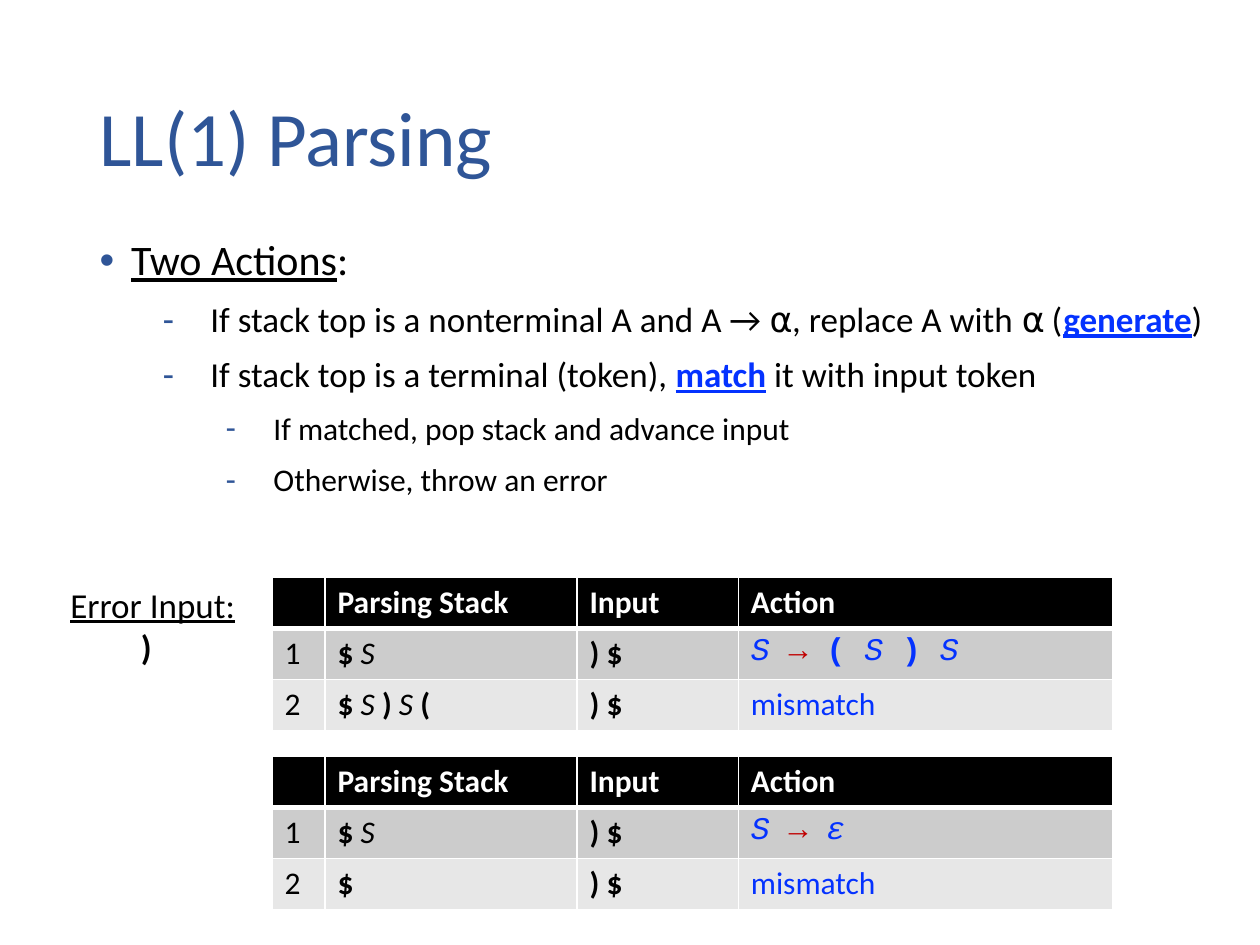
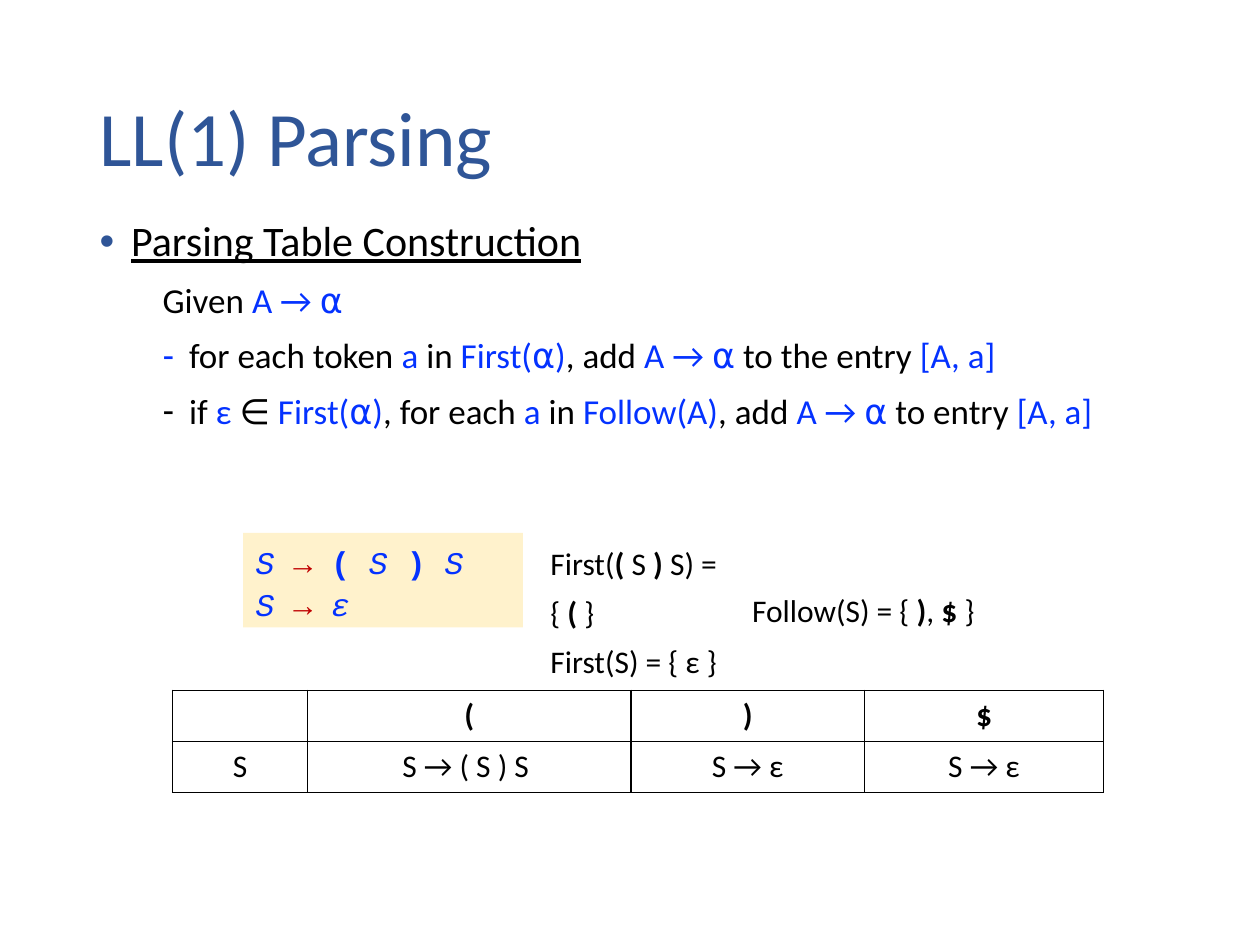
import lxml.etree
import pptx
import pptx.dml.color
import pptx.enum.shapes
import pptx.enum.text
import pptx.oxml.ns
import pptx.util

Inches = pptx.util.Inches
Pt = pptx.util.Pt
ALIGN = pptx.enum.text.PP_ALIGN
ANCHOR = pptx.enum.text.MSO_ANCHOR

COLORS = {
    "title": "2F5597", "text": "000000", "blue": "0432FF", "red": "C00000",
    "white": "FFFFFF", "dark": "CCCCCC", "light": "E7E7E7", "cream": "FFF2CC",
}
CODE = "Courier New"
STYLES = {
    "plain": {},
    "under": {"underline": True},
    "bold": {"bold": True},
    "slant": {"italic": True},
    "blue": {"color": "blue"},
    "key": {"color": "blue", "bold": True, "underline": True},
    "head": {"color": "white", "bold": True},
    "var": {"name": CODE, "color": "blue", "italic": True},
    "arrow": {"name": CODE, "color": "red"},
    "mark": {"name": CODE, "color": "blue", "bold": True},
}
TITLE = (0.69, 0.4, 8.62, 1.45)

# A line of text is a list of (text, style) runs.
RULE_PAIR = [("S ", "var"), ("→ ", "arrow"), ("( ", "mark"), ("S ", "var"),
             (") ", "mark"), ("S", "var")]
RULE_NULL = [("S ", "var"), ("→ ", "arrow"), ("ε", "var")]
ARROW = ("A → ⍺", "blue")
ENTRY = ("[A, a]", "blue")
TOKEN = ("a", "blue")
FIRST = ("First(⍺)", "blue")


def plain(text, style="plain"):
    return [(text, style)]


def shade(name):
    return pptx.dml.color.RGBColor.from_string(COLORS[name])


def place(shape, box):
    for name, value in zip(("left", "top", "width", "height"), box):
        setattr(shape, name, Inches(value))


def node(base, tag, **values):
    child = lxml.etree.SubElement(base, pptx.oxml.ns.qn(tag))
    for name, value in values.items():
        child.set(name, str(value))
    return child


def write(para, runs, size, format=None, color="text"):
    for name, value in (format or {}).items():
        setattr(para, name, value)
    for text, style in runs:
        run = para.add_run()
        run.text = text
        font = {"name": "Calibri", "size": Pt(size), "color": color, **STYLES[style]}
        run.font.color.rgb = shade(font.pop("color"))
        for name, value in font.items():
            setattr(run.font, name, value)


def indent(para, left, hang=0.0):
    props = para._p.get_or_add_pPr()
    props.set("marL", str(Inches(left)))
    props.set("indent", str(Inches(hang)))
    return props


def lines(frame, count):
    """Return the given number of paragraphs, the first being the one there."""
    return [frame.paragraphs[0]] + [frame.add_paragraph() for _ in range(count - 1)]


def add_title(slide, text):
    title = slide.shapes.title
    place(title, TITLE)
    frame = title.text_frame
    frame.auto_size = pptx.enum.text.MSO_AUTO_SIZE.NONE
    frame.vertical_anchor = ANCHOR.MIDDLE
    write(frame.paragraphs[0], plain(text), 44,
          {"alignment": ALIGN.LEFT, "line_spacing": 0.9}, "title")


def add_list(slide, box, items):
    """Fill the body; an item is level, left, hang, bullet, bullet colour, runs."""
    body = slide.placeholders[1]
    place(body, box)
    frame = body.text_frame
    frame.auto_size = pptx.enum.text.MSO_AUTO_SIZE.NONE
    for row, (para, item) in enumerate(zip(lines(frame, len(items)), items)):
        level, left, hang, bullet, color, runs = item
        props = indent(para, left, hang)
        if bullet:
            node(node(props, "a:buClr"), "a:srgbClr", val=COLORS[color])
            node(props, "a:buChar", char=bullet)
        else:
            node(props, "a:buNone")
        write(para, runs, (24, 20, 18)[level],
              {"level": level, "line_spacing": 0.9, "space_before": Pt(10 if row else 0)})


def add_text(slide, box, rows, size=18, space=None, wrap=True):
    shape = slide.shapes.add_textbox(*map(Inches, box))
    frame = shape.text_frame
    frame.word_wrap = wrap
    for para, runs in zip(lines(frame, len(rows)), rows):
        write(para, runs, size, {"line_spacing": space})
    return frame


def add_edges(cell, color, widths):
    props = cell._tc.get_or_add_tcPr()
    for side, width in zip("LRTB", widths):
        edge = node(props, f"a:ln{side}", w=Pt(width))
        node(node(edge, "a:solidFill"), "a:srgbClr", val=COLORS[color])


def add_grid(slide, box, cols, rows, fills, edge, align=ALIGN.LEFT):
    """Add a table; fills holds one colour name, or None, for each row."""
    shape = slide.shapes.add_table(len(rows), len(cols), *map(Inches, box))
    table = shape.table
    table.first_row = table.horz_banding = False
    for col, width in zip(table.columns, cols):
        col.width = Inches(width)
    for row, (cells, fill) in enumerate(zip(rows, fills)):
        table.rows[row].height = Inches(box[3] / len(rows))
        above = 3 if row and fills[row - 1] == "text" else 1
        below = 3 if fill == "text" else 1
        for col, runs in enumerate(cells):
            cell = table.cell(row, col)
            add_edges(cell, edge, (1, 1, above, below))
            if fill:
                cell.fill.solid()
                cell.fill.fore_color.rgb = shade(fill)
            else:
                cell.fill.background()
            para = cell.text_frame.paragraphs[0]
            para.font.size = Pt(18)
            write(para, runs, 18, {"alignment": align})


def add_trace(slide, box, steps):
    """Add a table of numbered parser steps, each with its stack and action."""
    head = [[]] + [plain(text, "head") for text in ("Parsing Stack", "Input", "Action")]
    rows = [[plain(str(count)), stack, plain(") $", "bold"), action]
            for count, (stack, action) in enumerate(steps, 1)]
    add_grid(slide, box, (0.42, 2, 1.28, 2.97), [head] + rows,
             ("text", "dark", "light"), "white")


def add_error(slide, box):
    frame = add_text(slide, box, [plain("Error Input:", "under"), plain(")", "bold")], 20)
    indent(frame.paragraphs[1], 0.56)


def add_rules(slide, box):
    left, top, width, height = box
    panel = slide.shapes.add_shape(pptx.enum.shapes.MSO_SHAPE.RECTANGLE,
                                   *map(Inches, box))
    panel.shadow.inherit = False
    panel.fill.solid()
    panel.fill.fore_color.rgb = shade("cream")
    panel.line.fill.background()
    add_text(slide, (left, top, width + 0.63, height), [RULE_PAIR, RULE_NULL], space=1.1)


def add_sets(slide, box):
    """Add the First sets, with the Follow set to their right."""
    left, top, width, height = box
    first = [("First(", "plain"), ("(", "bold"), (" S ", "plain"), (") ", "bold"),
             ("S) = { ", "plain"), ("( ", "bold"), ("}", "plain")]
    add_text(slide, box, [first, plain("First(S) = { ε }")], space=Pt(28))
    follow = [("Follow(S) = { ", "plain"), (")", "bold"), (", ", "plain"),
              ("$", "bold"), (" }", "plain")]
    add_text(slide, (left + 1.6, top + 0.46, 1.99, 0.4), [follow], wrap=False)


def show_actions(slide):
    add_title(slide, "LL(1) Parsing")
    dash = (1, 0.88, -0.38, "-", "title")
    deep = (2, 1.38, -0.38, "-", "title")
    add_list(slide, (0.69, 1.85, 9.31, 2.21), [
        (0, 0.25, -0.25, "•", "title", [("Two Actions", "under"), (":", "plain")]),
        (*dash, [("If stack top is a nonterminal A and A → ⍺, replace A with ⍺ (", "plain"),
                 ("generate", "key"), (")", "plain")]),
        (*dash, [("If stack top is a terminal (token), ", "plain"), ("match", "key"),
                 (" it with input token", "plain")]),
        (*deep, plain("If matched, pop stack and advance input")),
        (*deep, plain("Otherwise, throw an error")),
    ])
    start = [("$ ", "bold"), ("S", "slant")]
    grown = start + [(" ) ", "bold"), ("S", "slant"), (" (", "bold")]
    fail = plain("mismatch", "blue")
    traces = ([(start, RULE_PAIR), (grown, fail)],
              [(start, RULE_NULL), (plain("$", "bold"), fail)])
    for index, steps in enumerate(traces):
        add_trace(slide, (2.16, 4.58 + 1.42 * index, 6.67, 1.22), steps)
    add_error(slide, (0.46, 4.58, 1.7, 0.77))


def show_table(slide):
    add_title(slide, "LL(1) Parsing")
    add_list(slide, (0.69, 1.7, 9.31, 1.96), [
        (0, 0.25, -0.25, "•", "title", plain("Parsing Table Construction", "under")),
        (1, 0.5, 0, None, None, [("Given ", "plain"), ARROW]),
        (1, 0.71, -0.21, "-", "blue",
         [("for each token ", "plain"), TOKEN, (" in ", "plain"), FIRST,
          (", add ", "plain"), ARROW, (" to the entry ", "plain"), ENTRY]),
        (1, 0.71, -0.21, "-", "text",
         [("if ", "plain"), ("ε", "blue"), (" ∈ ", "plain"), FIRST,
          (", for each ", "plain"), TOKEN, (" in ", "plain"), ("Follow(A)", "blue"),
          (", add ", "plain"), ARROW, (" to entry ", "plain"), ENTRY]),
    ])
    add_rules(slide, (1.93, 4.23, 2.22, 0.75))
    head = [[]] + [plain(sign, "bold") for sign in "()$"]
    row = [plain(text) for text in ("S", "S → ( S ) S ", "S → ε", "S → ε")]
    add_grid(slide, (1.37, 5.48, 7.39, 0.81), (1.07, 2.57, 1.85, 1.9), [head, row],
             (None, None), "text", ALIGN.CENTER)
    add_sets(slide, (4.27, 4.18, 1.88, 0.88))


def main():
    deck = pptx.Presentation()
    deck.slide_width, deck.slide_height = Inches(10), Inches(7.5)
    for show in (show_actions, show_table):
        show(deck.slides.add_slide(deck.slide_layouts[1]))
    deck.save("out.pptx")


if __name__ == "__main__":
    main()
